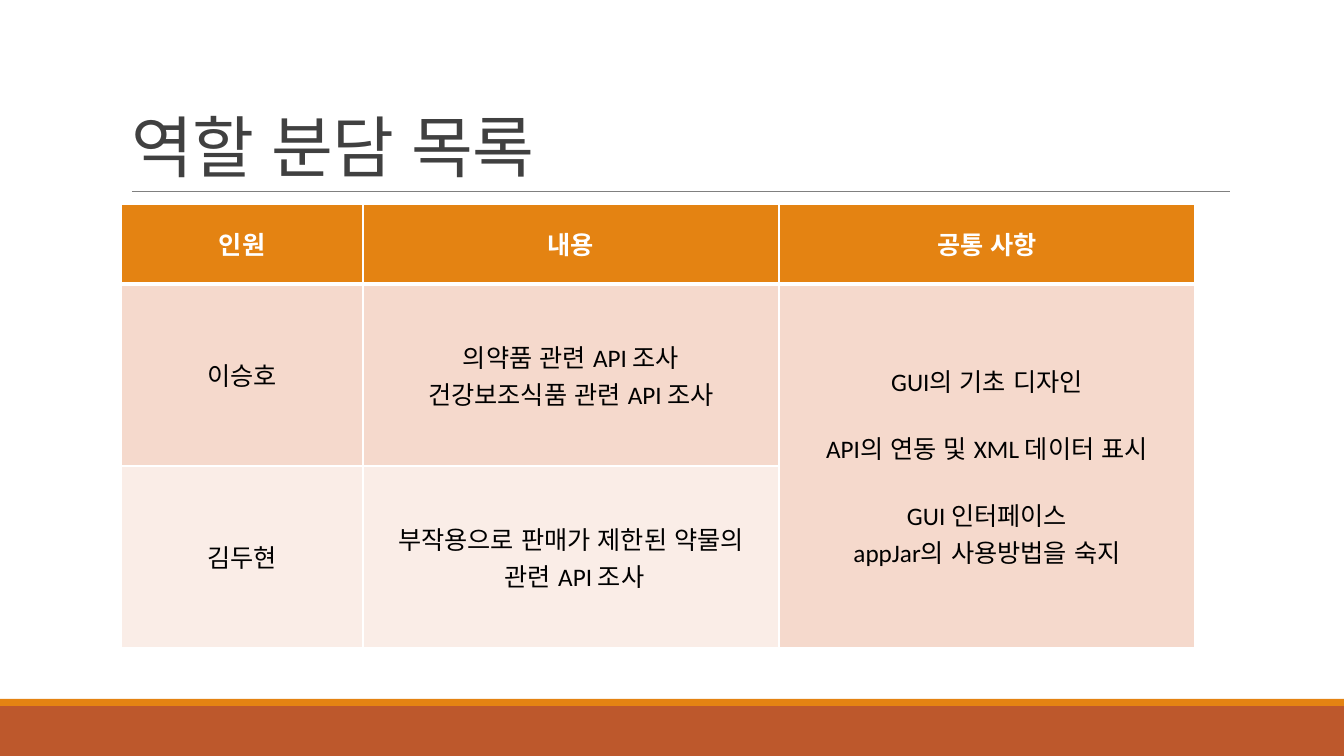
from dataclasses import dataclass

from lxml.etree import SubElement
from pptx import Presentation
from pptx.dml.color import RGBColor
from pptx.enum.lang import MSO_LANGUAGE_ID
from pptx.enum.shapes import MSO_CONNECTOR, MSO_SHAPE
from pptx.enum.text import MSO_ANCHOR, MSO_AUTO_SIZE, PP_ALIGN
from pptx.oxml import parse_xml
from pptx.oxml.ns import nsdecls, qn
from pptx.util import Emu, Pt


@dataclass(frozen=True)
class Theme:
    """Colours, font and type sizes of the deck."""
    font: str = "Calibri"
    title: str = "404040"
    rule: str = "808080"
    rust: str = "BD582C"
    amber: str = "E48312"
    light: str = "FFFFFF"
    dark: str = "000000"
    bands: tuple = ("F5D9CC", "FAEDE7")
    head: int = 48
    text: int = 18
    gap: int = 22


LOOK = Theme()
WIDE, HIGH = 1344, 756
COLS = (242, 416, 416)
ROWS = (80, 182, 182)
ROLES = (
    (("인원",), ("내용",), ("공통 사항",)),
    (("이승호",),
     ("의약품 관련 API 조사", "건강보조식품 관련 API 조사"),
     ("GUI의 기초 디자인", "API의 연동 및 XML 데이터 표시",
      "GUI 인터페이스", "appJar의 사용방법을 숙지")),
    (("김두현",), ("부작용으로 판매가 제한된 약물의", " 관련 API 조사")),
)
SPACED = ("API의 연동 및 XML 데이터 표시", "GUI 인터페이스")


def px(num):
    """Turn pixels into EMU."""
    return Emu(round(num * 12192000 / WIDE))


def put(item, **vals):
    """Set each given attribute on an object."""
    for name, val in vals.items():
        setattr(item, name, val)


def style(font, size, color, bold=False):
    """Format a font."""
    put(font, name=LOOK.font, size=Pt(size), bold=bold,
        language_id=MSO_LANGUAGE_ID.KOREAN)
    font.color.rgb = RGBColor.from_string(color)


def paint(item, color):
    """Give a shape or cell a solid fill."""
    item.fill.solid()
    item.fill.fore_color.rgb = RGBColor.from_string(color)


def bar(slide, box, color):
    """Draw a plain band in the box."""
    band = slide.shapes.add_shape(MSO_SHAPE.RECTANGLE, *map(px, box))
    band.shadow.inherit = False
    paint(band, color)
    band.line.fill.background()


def footer(slide, box):
    """Draw the thin and the thick band at the foot."""
    left, top, wide, high = box
    thin = 7
    bar(slide, (left, top + thin, wide, high - thin), LOOK.rust)
    bar(slide, (left, top, wide, thin), LOOK.amber)


def heading(slide, box, words):
    """Fill the title and draw the rule under it."""
    left, top, wide, high = box
    title = slide.shapes.title
    put(title, left=px(left), top=px(top), width=px(wide), height=px(high))
    put(title.text_frame, text=words, word_wrap=True,
        vertical_anchor=MSO_ANCHOR.BOTTOM, auto_size=MSO_AUTO_SIZE.NONE)
    para = title.text_frame.paragraphs[0]
    put(para, alignment=PP_ALIGN.LEFT, line_spacing=0.85)
    run = para.runs[0]
    style(run.font, LOOK.head, LOOK.title)
    run.font._element.set("spc", "-50")
    base = px(top + high)
    rule = slide.shapes.add_connector(
        MSO_CONNECTOR.STRAIGHT, px(left + 11), base, px(left + wide), base)
    rule.line.color.rgb = RGBColor.from_string(LOOK.rule)
    rule.line.width = Pt(0.5)
    SubElement(rule._element.spPr, qn("a:effectLst"))


def edge(cell, row):
    """Draw white borders, thicker between header and body."""
    wide = {"L": 1, "R": 1, "T": 3 if row == 1 else 1, "B": 1 if row else 3}
    props = cell._tc.get_or_add_tcPr()
    for spot, (side, size) in enumerate(wide.items()):
        props.insert(spot, parse_xml(
            f'<a:ln{side} {nsdecls("a")} w="{Pt(size)}"><a:solidFill>'
            f'<a:srgbClr val="{LOOK.light}"/></a:solidFill></a:ln{side}>'))


def write(cell, lines, head):
    """Write centred lines into a cell."""
    cell.text = "\n".join(lines)
    cell.vertical_anchor = MSO_ANCHOR.MIDDLE
    for para in cell.text_frame.paragraphs:
        para.alignment = PP_ALIGN.CENTER
        if para.text in SPACED:
            para.space_before = Pt(LOOK.gap)
        style(para.runs[0].font, LOOK.text,
              LOOK.light if head else LOOK.dark, head)


def roles(slide, box):
    """Build the table of roles in the box."""
    grid = slide.shapes.add_table(len(ROWS), len(COLS), *map(px, box)).table
    for col, wide in zip(grid.columns, COLS):
        col.width = px(wide)
    for row, high in zip(grid.rows, ROWS):
        row.height = px(high)
    fills = (LOOK.amber, *LOOK.bands)
    for r, fill in enumerate(fills):
        for c in range(len(COLS)):
            cell = grid.cell(r, c)
            paint(cell, fill)
            edge(cell, r)
    grid.cell(1, 2).merge(grid.cell(2, 2))
    for r, row in enumerate(ROLES):
        for c, lines in enumerate(row):
            write(grid.cell(r, c), lines, r == 0)


def main():
    """Build and save the deck."""
    deck = Presentation()
    put(deck, slide_width=px(WIDE), slide_height=px(HIGH))
    slide = deck.slides.add_slide(deck.slide_layouts[5])
    footer(slide, (0, 699, WIDE, HIGH - 699))
    heading(slide, (121, 31, 1109, 160), "역할 분담 목록")
    roles(slide, (121, 204, sum(COLS), sum(ROWS)))
    deck.save("out.pptx")


if __name__ == "__main__":
    main()
